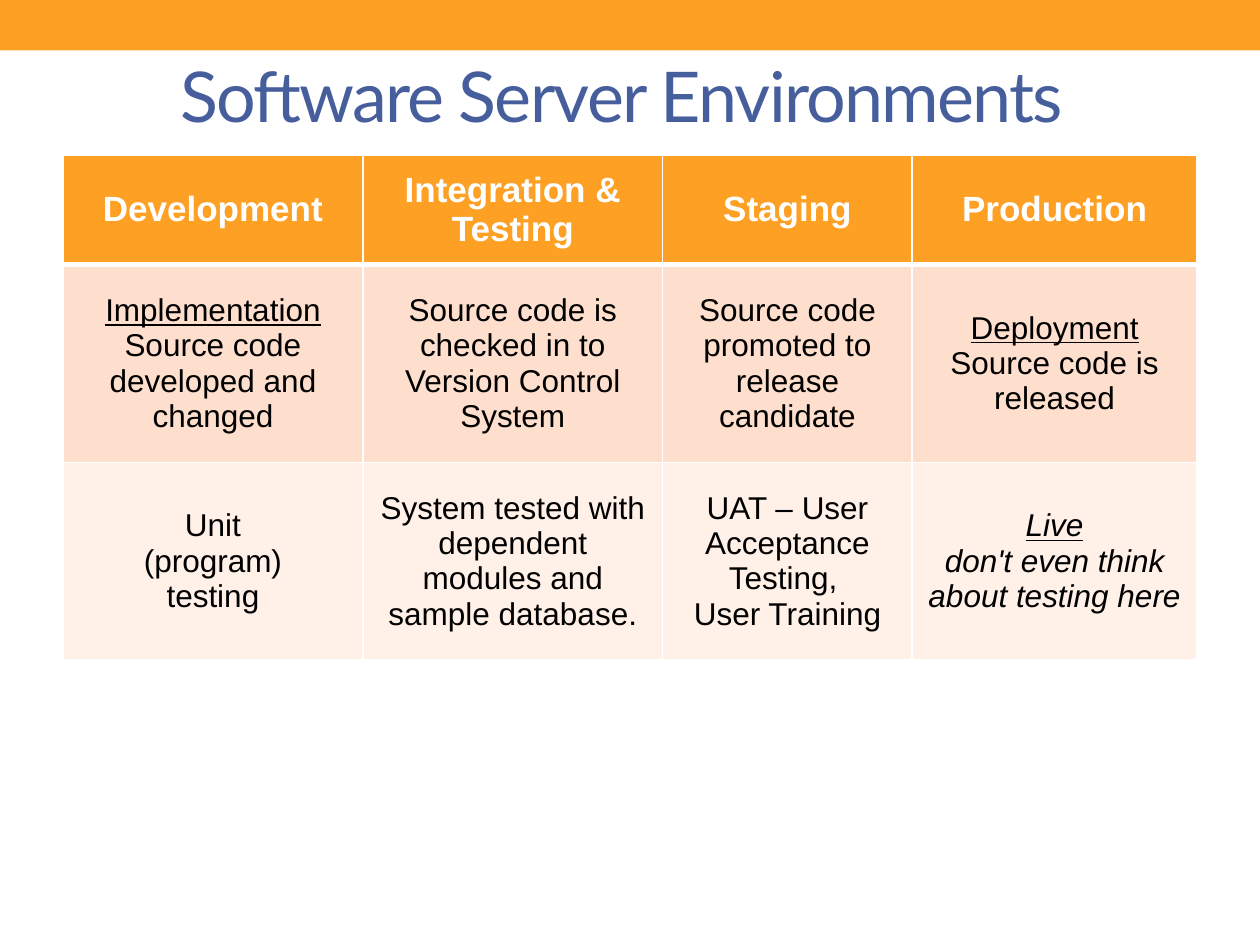
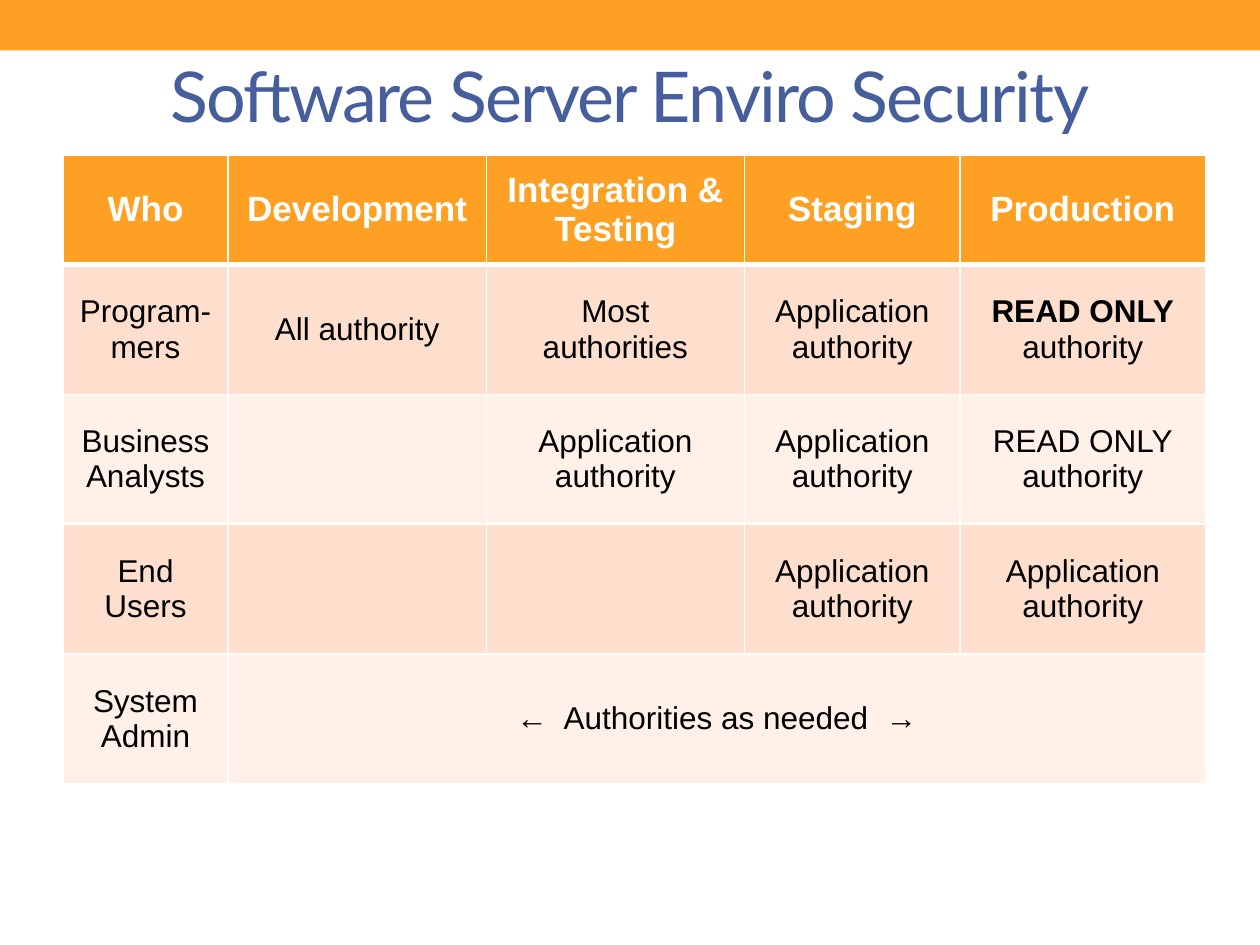
"""Build two slides that tabulate software server environments and their security."""
from dataclasses import dataclass, field
from typing import Any, NamedTuple

import pptx
import pptx.dml.color
import pptx.enum.shapes
import pptx.enum.text
import pptx.oxml
import pptx.oxml.ns
import pptx.util
from lxml import etree

Inches = pptx.util.Inches
Pt = pptx.util.Pt
CENTER = pptx.enum.text.PP_ALIGN.CENTER
MIDDLE = pptx.enum.text.MSO_ANCHOR.MIDDLE

COLORS = {
    "band": "FDA023",
    "title": "465E9C",
    "odd": "FEDFCD",
    "even": "FFF0E8",
    "white": "FFFFFF",
    "black": "000000",
}
TITLE = {"name": "Lato", "size": Pt(40), "bold": False}
HEADER = {"name": "Arial", "size": Pt(20), "bold": True}
BODY = {"name": "Arial", "size": Pt(18), "bold": False}
HEADER_HEIGHT = 0.87
STAGES = ["Development", "Integration & Testing", "Staging", "Production"]


class Span(NamedTuple):
    text: str
    fmt: dict[str, Any] = {}


@dataclass
class Cell:
    spans: list[Span] = field(default_factory=list)
    before: int = 0
    columns: int = 1


@dataclass
class TableSlide:
    title: str
    widths: list[float]
    row_height: float
    headers: list[str]
    rows: list[list[Cell]]


def cell(*spans: str | Span, before: int = 0, columns: int = 1) -> Cell:
    return Cell([Span(s) if isinstance(s, str) else s for s in spans], before, columns)


def rgb(color: str) -> pptx.dml.color.RGBColor:
    return pptx.dml.color.RGBColor.from_string(COLORS[color])


def set_attributes(target: Any, values: dict[str, Any]) -> None:
    for name, value in values.items():
        setattr(target, name, value)


def add_span(p: Any, span: Span, fmt: dict[str, Any], color: str) -> None:
    for i, line in enumerate(span.text.split("\n")):
        if i:
            p.add_line_break()
        if line:
            r = p.add_run()
            r.text = line
            set_attributes(r.font, fmt | span.fmt)
            r.font.color.rgb = rgb(color)


def set_borders(target: Any, bottom: int) -> None:
    tc_pr = target._tc.get_or_add_tcPr()
    for side, width in {"L": 1, "R": 1, "T": 1, "B": bottom}.items():
        ln = etree.SubElement(tc_pr, pptx.oxml.ns.qn(f"a:ln{side}"), w=str(Pt(width)))
        fill = etree.SubElement(ln, pptx.oxml.ns.qn("a:solidFill"))
        etree.SubElement(fill, pptx.oxml.ns.qn("a:srgbClr"), val=COLORS["white"])


def fill_cell(target: Any, content: Cell, row: int) -> None:
    is_header = row == 0
    fill = "band" if is_header else ("odd" if row % 2 else "even")
    set_borders(target, 3 if is_header else 1)
    target.fill.solid()
    target.fill.fore_color.rgb = rgb(fill)
    target.vertical_anchor = MIDDLE
    p = target.text_frame.paragraphs[0]
    set_attributes(p, {"alignment": CENTER, "space_before": Pt(content.before)})
    for span in content.spans:
        add_span(p, span, HEADER if is_header else BODY, "white" if is_header else "black")


def add_title(s: Any, text: str) -> None:
    sp = s.shapes.title
    set_attributes(sp, {"left": Inches(0.5), "top": Inches(0.21),
                        "width": Inches(9), "height": Inches(1.08)})
    tf = sp.text_frame
    set_attributes(tf, {"vertical_anchor": MIDDLE, "word_wrap": True})
    p = tf.paragraphs[0]
    p.alignment = CENTER
    add_span(p, Span(text), TITLE, "title")
    for r_pr in sp.element.iter(pptx.oxml.ns.qn("a:rPr")):
        r_pr.set("spc", "-100")


def add_table(s: Any, content: TableSlide) -> None:
    rows = [[cell(h) for h in content.headers], *content.rows]
    heights = [HEADER_HEIGHT] + [content.row_height] * len(content.rows)
    table = s.shapes.add_table(
        len(rows), len(content.widths), Inches(0.5), Inches(1.23),
        Inches(sum(content.widths)), Inches(sum(heights)),
    ).table
    for column, width in zip(table.columns, content.widths):
        column.width = Inches(width)
    for i, (row, height) in enumerate(zip(rows, heights)):
        table.rows[i].height = Inches(height)
        for j, item in enumerate(row):
            fill_cell(table.cell(i, j), item, i)
            if item.columns > 1:
                table.cell(i, j).merge(table.cell(i, j + item.columns - 1))


def add_master_band(prs: Any, s: Any) -> None:
    sp = s.shapes.add_shape(pptx.enum.shapes.MSO_SHAPE.RECTANGLE,
                            0, 0, prs.slide_width, Inches(0.4))
    sp.shadow.inherit = False
    sp.fill.solid()
    sp.fill.fore_color.rgb = rgb("band")
    sp.line.fill.background()
    prs.slide_master.shapes.element.insert(2, sp.element)


UNDERLINE = {"underline": True}
ITALIC = {"italic": True}
APPLICATION = "Application\nauthority"

SLIDES = [
    TableSlide(
        "Software Server Environments ", [2.38, 2.38, 1.98, 2.26], 1.57, STAGES,
        [
            [
                cell(Span("Implementation\n", UNDERLINE), "Source code developed and changed"),
                cell("Source code is checked in to Version Control System"),
                cell("Source code promoted to release candidate"),
                cell(Span("Deployment\n", UNDERLINE), "Source code is released"),
            ],
            [
                cell("Unit\n(program)\ntesting"),
                cell("System tested with dependent modules and sample database."),
                cell("UAT – User Acceptance Testing, \nUser Training"),
                cell(Span("Live\n", ITALIC | UNDERLINE),
                     Span("don't even think about testing here", ITALIC)),
            ],
        ],
    ),
    TableSlide(
        "Software Server Enviro Security", [1.31, 2.05, 2.05, 1.71, 1.95], 1.03,
        ["Who", *STAGES],
        [
            [
                cell("Program- mers"),
                cell("All authority", before=6),
                cell("Most\nauthorities", before=6),
                cell(APPLICATION, before=6),
                cell(Span("READ ONLY\n", {"bold": True}), "authority", before=6),
            ],
            [cell("Business Analysts"), cell(), cell(APPLICATION), cell(APPLICATION),
             cell("READ ONLY\nauthority")],
            [cell("End Users"), cell(), cell(), cell(APPLICATION), cell(APPLICATION)],
            [cell("System\nAdmin"), cell("←  Authorities as needed  →", columns=4),
             cell(), cell(), cell()],
        ],
    ),
]


def main() -> None:
    prs = pptx.Presentation()
    set_attributes(prs, {"slide_width": Inches(10), "slide_height": Inches(7.5)})
    for content in SLIDES:
        s = prs.slides.add_slide(prs.slide_layouts.get_by_name("Title Only"))
        add_title(s, content.title)
        add_table(s, content)
    add_master_band(prs, prs.slides[0])
    prs.save("out.pptx")


if __name__ == "__main__":
    main()
